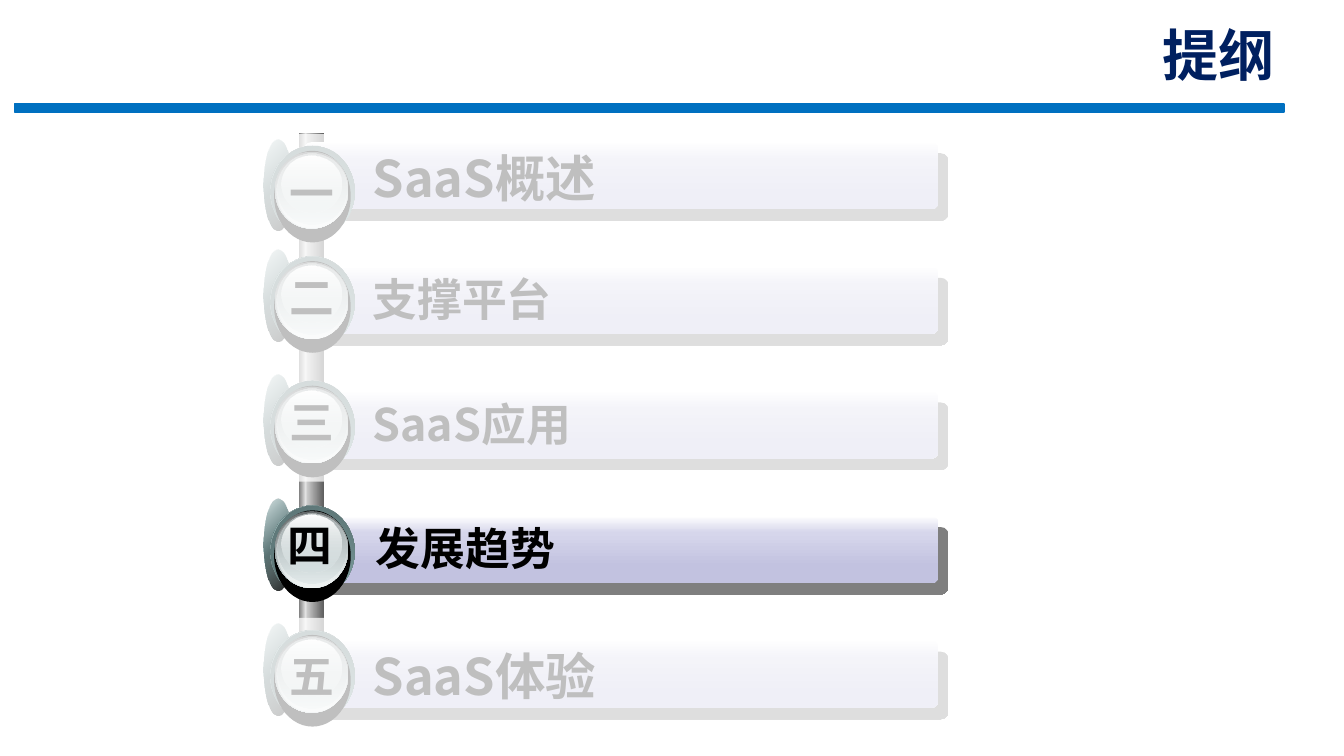
"""Builds the outline slide with five numbered bars, the fourth one highlighted."""
from pptx import Presentation
from pptx.dml.color import RGBColor
from pptx.enum.shapes import MSO_SHAPE
from pptx.enum.text import MSO_ANCHOR, MSO_AUTO_SIZE, PP_ALIGN
from pptx.oxml import parse_xml
from pptx.oxml.ns import nsdecls, qn
from pptx.util import Cm, Pt

RECTANGLE = MSO_SHAPE.RECTANGLE
ROUNDED = MSO_SHAPE.ROUNDED_RECTANGLE
OVAL = MSO_SHAPE.OVAL
TOP, BOTTOM = MSO_ANCHOR.TOP, MSO_ANCHOR.BOTTOM
LEFT, RIGHT = PP_ALIGN.LEFT, PP_ALIGN.RIGHT
GROW, FIXED = MSO_AUTO_SIZE.SHAPE_TO_FIT_TEXT, MSO_AUTO_SIZE.NONE

COLORS = {
    "white": "FFFFFF", "black": "000000", "navy": "002060", "blue": "0070C0",
    "lilac": "D6D6EB", "violet": "C2C2E0",
    "teal": "83A6A7", "slate": "475A5A", "deep": "53696A",
    "iron": "636869", "mist": "D6E1E2", "pearl": "F1F5F5", "steel": "AAB2B3",
    "gray": "808080", "pale": "ECECEC", "silver": "CFCFCF", "dark": "5F5F5F",
}

BAR_FILL = [(0, "white"), (25, "lilac"), (75, "violet")]
RODS = [
    ((0.58, 10.31, 14.1, 0.18), [(0, "gray"), (100, "pale")]),
    ((0.89, 10.19, 14.1, 0.43), [(0, "silver"), (100, "dark")]),
]
BADGE_LAYERS = [
    (6.65, 0, 0.71, 2.31, 45, [(0, "white"), (50, "teal"), (100, "white")]),
    (6.65, 0, 0.71, 2.31, 45, [(0, "teal", 32), (100, "black", 90)]),
    (6.81, 0.17, 2.13, 2.31, 315, [(0, "slate"), (50, "teal"), (100, "slate")]),
    (6.81, 0.17, 2.13, 2.31, 45, [(0, "deep"), (100, "teal", 0)]),
    (6.91, 0.29, 1.93, 2.31, 0, [(0, "black")]),
    (6.93, 0.31, 1.85, 1.94, 90, [(0, "iron"), (100, "mist")]),
    (6.96, 0.33, 1.8, 1.9, 90, [(0, "mist", 0), (100, "pearl")]),
    (6.99, 0.36, 1.73, 1.78, 90, [(0, "steel"), (100, "mist", 48)]),
    (7.09, 0.4, 1.52, 1.45, 90, [(0, "white"), (100, "mist", 38)]),
]
FIRST_BAR, PITCH = 3.58, 3.14
ENTRIES = [
    ("一", "SaaS概述", 36, 3.25, 9.14, 7.67, 7.04, -0.07, 0.53),
    ("二", "支撑平台", 32, 1.63, 9.14, 7.67, 7.04, -0.43, 0.38),
    ("三", "SaaS应用", 32, 1.63, 9.14, 7.67, 7.04, -0.43, 0.38),
    ("四", "发展趋势", 32, 1.63, 9.22, 7.44, 6.99, -0.43, 0.36),
    ("五", "SaaS体验", 36, 3.18, 9.14, 7.67, 7.04, -0.43, 0.51),
]
BAR_RIGHT = 23.65
VEILS = [(4.04, 15.57, 23.01, 2.97), (3.89, 3.38, 23.01, 8.76)]


class OutlinePage:
    """Holds the style and the current slide."""

    def __init__(self, deck):
        self.page = deck.slides.add_slide(deck.slide_layouts[6])
        self.font = "Noto Sans CJK SC"

    def group(self):
        return self.page.shapes.add_group_shape().shapes

    def paint(self, shape, stops, angle):
        colors = []
        for position, name, *alpha in stops:
            opacity = f'<a:alpha val="{alpha[0] * 1000}"/>' if alpha else ""
            colors.append((position, f'<a:srgbClr val="{COLORS[name]}">{opacity}</a:srgbClr>'))
        if len(colors) == 1:
            xml = f'<a:solidFill {nsdecls("a")}>{colors[0][1]}</a:solidFill>'
        else:
            marks = "".join(f'<a:gs pos="{at * 1000}">{color}</a:gs>' for at, color in colors)
            xml = (f'<a:gradFill {nsdecls("a")} rotWithShape="1"><a:gsLst>{marks}</a:gsLst>'
                   f'<a:lin ang="{angle * 60000}" scaled="0"/></a:gradFill>')
        shape.fill.solid()
        properties = shape._element.spPr
        properties.replace(properties.find(qn("a:solidFill")), parse_xml(xml))

    def shape(self, shapes, kind, frame, stops, angle=0):
        shape = shapes.add_shape(kind, *map(Cm, frame))
        shape.shadow.inherit = False
        shape.line.fill.background()
        self.paint(shape, stops, angle)
        return shape

    def bar(self, shapes, frame):
        bar = self.shape(shapes, ROUNDED, frame, BAR_FILL, 90)
        bar.adjustments[0] = 0.109
        effects = bar._element.spPr.find(qn("a:effectLst"))
        effects.append(parse_xml(
            f'<a:outerShdw {nsdecls("a")} blurRad="0" dist="{Pt(10.6)}" dir="{49 * 60000}" '
            f'algn="ctr" rotWithShape="0"><a:srgbClr val="{COLORS["black"]}">'
            '<a:alpha val="50000"/></a:srgbClr></a:outerShdw>'))

    def text(self, shapes, frame, words, size, color="black", font=None,
             align=LEFT, anchor=TOP, wrap=True, fit=GROW):
        box = shapes.add_textbox(*map(Cm, frame))
        box.text_frame.word_wrap = wrap
        box.text_frame.auto_size = fit
        box.text_frame.vertical_anchor = anchor
        para = box.text_frame.paragraphs[0]
        para.text = words
        para.alignment = align
        para.font.name = font or self.font
        para.font.size = Pt(size)
        para.font.bold = True
        para.font.color.rgb = RGBColor.from_string(COLORS[color])

    def header(self, title):
        shapes = self.page.shapes
        rule = self.shape(shapes, RECTANGLE, (0.36, 2.62, 32, 0.2), [(0, "blue")])
        rule.line.color.rgb = RGBColor.from_string(COLORS["blue"])
        rule.line.width = Pt(1)
        self.text(shapes, (16.28, 0.86, 16.08, 1.47), title, 40, "navy", "Roboto",
                  RIGHT, BOTTOM, fit=FIXED)

    def spine(self):
        shapes = self.group()
        for frame, stops in RODS:
            self.shape(shapes, RECTANGLE, frame, stops, 90).rotation = 270

    def entry(self, top, numeral, label, size, label_height, label_left, bar_left,
              numeral_left, badge_shift, numeral_shift):
        shapes = self.group()
        badge_top = top + badge_shift
        self.bar(shapes, (bar_left, top, BAR_RIGHT - bar_left, 1.7))
        self.text(shapes, (label_left, top, 13.13, label_height), label, size)
        for left, shift, width, height, angle, stops in BADGE_LAYERS:
            self.shape(shapes, OVAL, (left, badge_top + shift, width, height), stops, angle)
        self.text(shapes, (numeral_left, badge_top + numeral_shift, 1.6, 1.63),
                  numeral, 32, wrap=False)

    def veil(self, frame):
        self.shape(self.page.shapes, RECTANGLE, frame, [(0, "white", 75)])


def main():
    deck = Presentation()
    deck.slide_width, deck.slide_height = Cm(33.87), Cm(19.05)
    outline = OutlinePage(deck)
    outline.header("提纲")
    outline.spine()
    for index, entry in enumerate(ENTRIES):
        outline.entry(FIRST_BAR + index * PITCH, *entry)
    for frame in VEILS:
        outline.veil(frame)
    deck.save("out.pptx")


if __name__ == "__main__":
    main()
